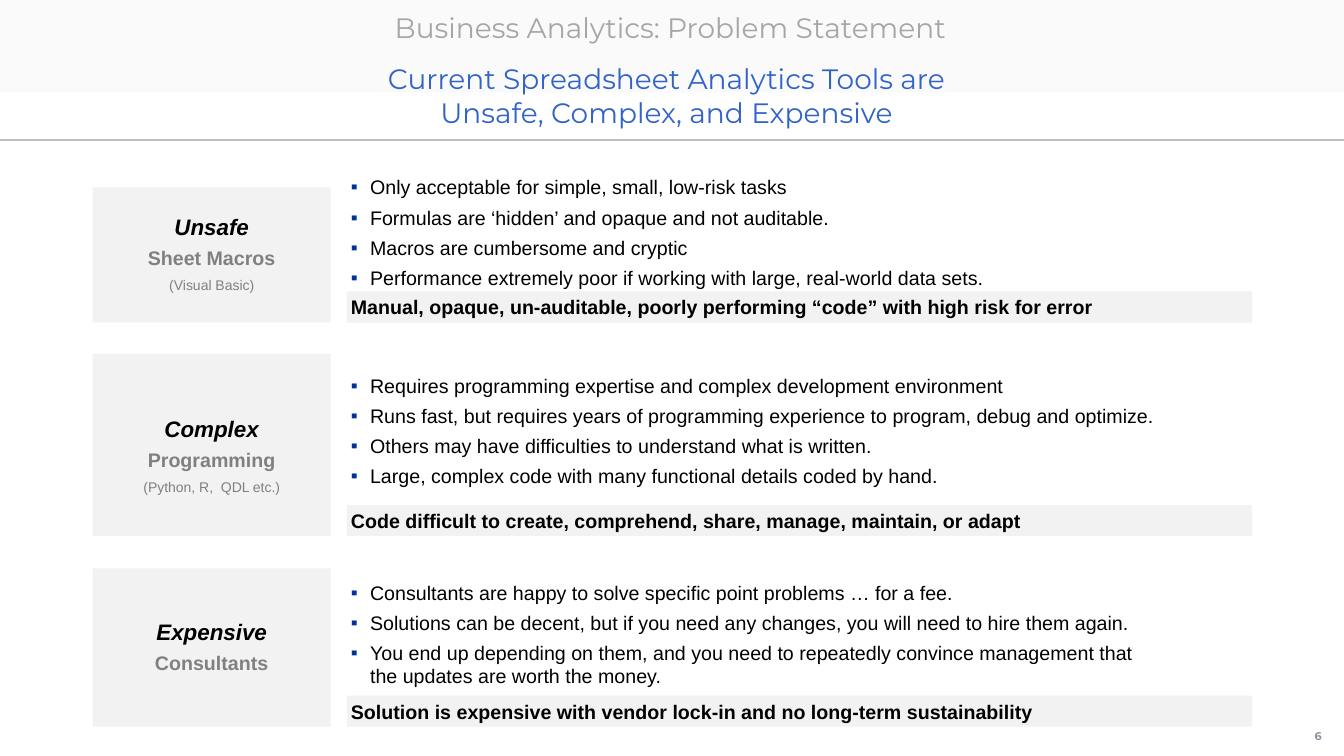
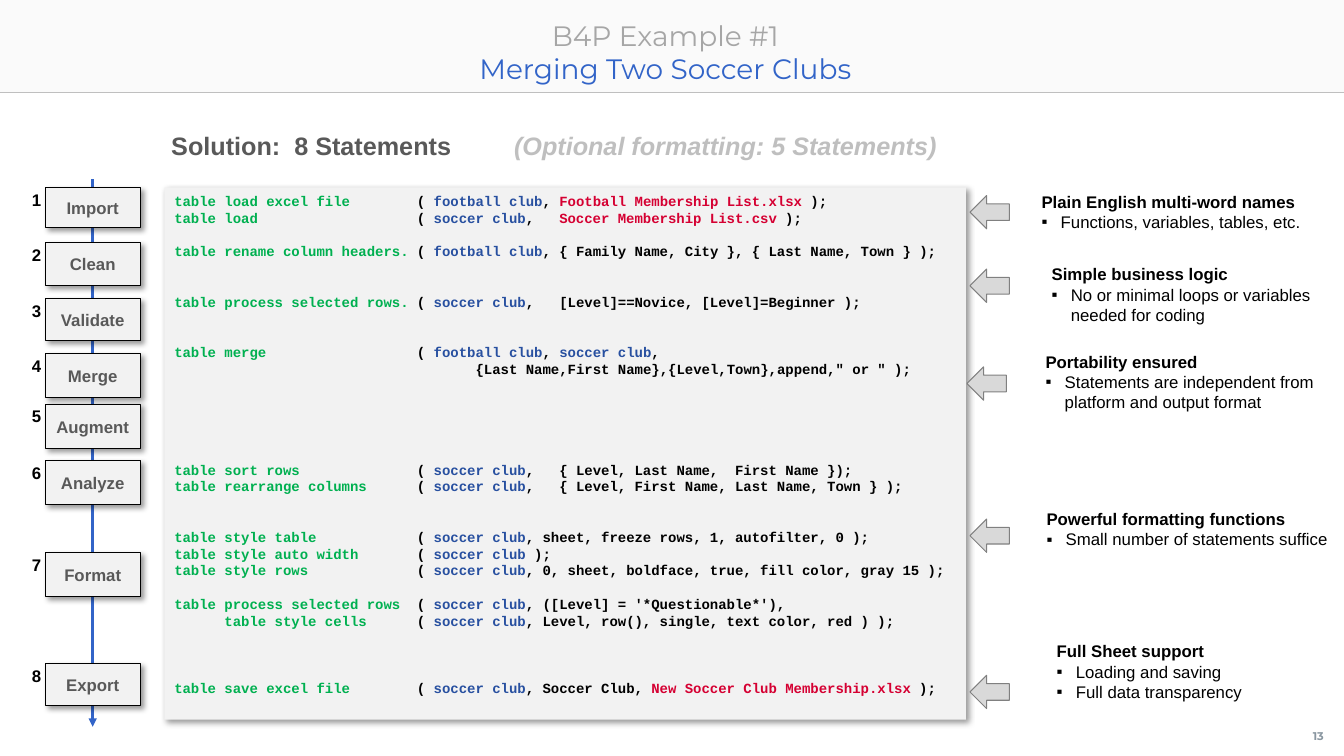
import dataclasses

import pptx
import pptx.dml.color
import pptx.enum.shapes
import pptx.enum.text
import pptx.oxml
import pptx.oxml.ns
import pptx.util
from pptx.util import Inches

RGBColor = pptx.dml.color.RGBColor
SHAPE = pptx.enum.shapes.MSO_SHAPE
ALIGN = pptx.enum.text.PP_ALIGN
ANCHOR = pptx.enum.text.MSO_ANCHOR

BLACK = RGBColor(0x00, 0x00, 0x00)
PANEL = RGBColor(0xF2, 0xF2, 0xF2)
RULE = RGBColor(0xBF, 0xBF, 0xBF)
TITLE_GRAY = RGBColor(0xA6, 0xA6, 0xA6)
TITLE_BLUE = RGBColor(0x32, 0x64, 0xC8)
MID_GRAY = RGBColor(0x80, 0x80, 0x80)
DARK_GRAY = RGBColor(0x59, 0x59, 0x59)
ARROW_GRAY = RGBColor(0xD9, 0xD9, 0xD9)
PAGE_GRAY = RGBColor(0x89, 0x96, 0xA0)
BULLET_BLUE = RGBColor(0x00, 0x33, 0x99)
COMMAND_GREEN = RGBColor(0x00, 0xB0, 0x50)
TABLE_BLUE = RGBColor(0x28, 0x50, 0xA0)
FILE_RED = RGBColor(0xD5, 0x00, 0x32)

SLIDE_WIDTH = 13.33
BAND_HEIGHT = 0.92
TIGHT = (0.04, 0.04, 0.04, 0.04)
TITLE_INSETS = (0, 0.05, 0.1, 0.05)
CODE_PITCH = 12
CODE_COLUMN = 29

# Tile lines, tile top, tile height, tile top inset, bullets top, bullets, verdict
PROBLEMS = [
    (("Unsafe", "Sheet Macros", "(Visual Basic)"), 1.86, 1.34, 0.04, 1.7,
     ["Only acceptable for simple, small, low-risk tasks",
      "Formulas are ‘hidden’ and opaque and not auditable.",
      "Macros are cumbersome and cryptic",
      "Performance extremely poor if working with large, real-world data sets."],
     "Manual, opaque, un-auditable, poorly performing “code” with high risk for error"),
    (("Complex", "Programming", "(Python, R,  QDL etc.)"), 3.51, 1.81, 0.28, 3.67,
     ["Requires programming expertise and complex development environment",
      "Runs fast, but requires years of programming experience to program, debug and optimize.",
      "Others may have difficulties to understand what is written.",
      "Large, complex code with many functional details coded by hand."],
     "Code difficult to create, comprehend, share, manage, maintain, or adapt"),
    (("Expensive", "Consultants"), 5.64, 1.57, 0.04, 5.72,
     ["Consultants are happy to solve specific point problems … for a fee.",
      "Solutions can be decent, but if you need any changes, you will need to hire them again.",
      "You end up depending on them, and you need to repeatedly convince management that "
      "the updates are worth the money."],
     "Solution is expensive with vendor lock-in and no long-term sustainability"),
]

# Step, top, height
STEPS = [("Import", 1.86, 0.4), ("Clean", 2.41, 0.42), ("Validate", 2.96, 0.42),
         ("Merge", 3.51, 0.43), ("Augment", 4.01, 0.44), ("Analyze", 4.57, 0.44),
         ("Format", 5.48, 0.44), ("Export", 6.58, 0.42)]

CODE_COLORS = {
    "football club": TABLE_BLUE,
    "soccer club": TABLE_BLUE,
    "Football Membership List.xlsx": FILE_RED,
    "Soccer Membership List.csv": FILE_RED,
    "New Soccer Club Membership.xlsx": FILE_RED,
}

# Empty lines above, command, arguments
STATEMENTS = [
    (0, "table load excel file", "( football club, Football Membership List.xlsx );"),
    (0, "table load", "( soccer club,   Soccer Membership List.csv );"),
    (1, "table rename column headers.",
     "( football club, { Family Name, City }, { Last Name, Town } );"),
    (2, "table process selected rows.", "( soccer club,   [Level]==Novice, [Level]=Beginner );"),
    (2, "table merge", "( football club, soccer club,"),
    (0, "", '       {Last Name,First Name},{Level,Town},append," or " );'),
    (5, "table sort rows", "( soccer club,   { Level, Last Name,  First Name });"),
    (0, "table rearrange columns", "( soccer club,   { Level, First Name, Last Name, Town } );"),
    (2, "table style table", "( soccer club, sheet, freeze rows, 1, autofilter, 0 );"),
    (0, "table style auto width", "( soccer club );"),
    (0, "table style rows", "( soccer club, 0, sheet, boldface, true, fill color, gray 15 );"),
    (1, "table process selected rows", "( soccer club, ([Level] = '*Questionable*'),"),
    (0, "      table style cells",
     "( soccer club, Level, row(), single, text color, red ) );"),
    (3, "table save excel file", "( soccer club, Soccer Club, New Soccer Club Membership.xlsx );"),
]

# Left, top, width, height, arrow left, arrow top, heading, bullets
BENEFITS = [
    (10.29, 1.86, 2.83, 0.53, 9.62, 1.94, "Plain English multi-word names",
     ["Functions, variables, tables, etc."]),
    (10.39, 2.58, 2.72, 0.71, 9.62, 2.67, "Simple business logic",
     ["No or minimal loops or variables needed for coding"]),
    (10.33, 3.45, 2.76, 0.71, 9.59, 3.64, "Portability ensured",
     ["Statements are independent from platform and output format"]),
    (10.34, 5.01, 2.97, 0.71, 9.62, 5.15, "Powerful formatting functions",
     ["Small number of statements suffice"]),
    (10.44, 6.32, 3.15, 0.71, 9.62, 6.7, "Full Sheet support",
     ["Loading and saving", "Full data transparency"]),
]


@dataclasses.dataclass
class Line:
    """One paragraph; pieces are (text, colour) runs that replace plain text."""
    text: str = ""
    size: float = 14
    color: RGBColor = BLACK
    bold: bool = False
    italic: bool = False
    font: str = "Arial"
    align: ALIGN = ALIGN.LEFT
    gap: float = 0
    spacing: object = None
    bullet: RGBColor = None
    tab: float = None
    pieces: list = dataclasses.field(default_factory=list)


def add_xml(parent, xml):
    tag, rest = xml.split(" ", 1)
    parent.append(pptx.oxml.parse_xml(f"{tag} {pptx.oxml.ns.nsdecls('a')} {rest}"))


def write(shape, lines, insets=TIGHT, anchor=ANCHOR.TOP):
    """Fill a shape with lines; a gap is the space above a line."""
    frame = shape.text_frame
    frame.word_wrap = True
    frame.auto_size = pptx.enum.text.MSO_AUTO_SIZE.NONE
    frame.vertical_anchor = anchor
    (frame.margin_left, frame.margin_top,
     frame.margin_right, frame.margin_bottom) = map(Inches, insets)
    for index, line in enumerate(lines):
        paragraph = frame.add_paragraph() if index else frame.paragraphs[0]
        properties = paragraph._p.get_or_add_pPr()
        if line.bullet is not None:
            properties.set("marL", str(Inches(0.19)))
            properties.set("indent", str(Inches(-0.19)))
            add_xml(properties, f'<a:buClr ><a:srgbClr val="{line.bullet}"/></a:buClr>')
            add_xml(properties, '<a:buFont typeface="Arial"/>')
            add_xml(properties, '<a:buChar char="▪"/>')
        if line.tab:
            add_xml(properties,
                    f'<a:tabLst ><a:tab pos="{Inches(line.tab)}" algn="l"/></a:tabLst>')
        paragraph.alignment = line.align
        paragraph.space_before = pptx.util.Pt(line.gap if index else 0)
        paragraph.line_spacing = line.spacing
        font = paragraph.font
        font.name, font.size = line.font, pptx.util.Pt(line.size)
        font.bold, font.italic = line.bold, line.italic
        font.color.rgb = line.color
        if not line.pieces:
            paragraph.text = line.text
        for text, color in line.pieces:
            run = paragraph.add_run()
            run.text = text
            run.font.color.rgb = color


def add_text(slide, box, lines, insets=TIGHT, anchor=ANCHOR.TOP):
    write(slide.shapes.add_textbox(*map(Inches, box)), lines, insets, anchor)


def add_block(slide, box, fill=PANEL, outline=None, kind=SHAPE.RECTANGLE, raised=False):
    block = slide.shapes.add_shape(kind, *map(Inches, box))
    block.shadow.inherit = False
    block.fill.solid()
    block.fill.fore_color.rgb = fill
    if outline is None:
        block.line.fill.background()
    else:
        block.line.color.rgb = outline
        block.line.width = pptx.util.Pt(0.75)
    if raised:
        effects = block._element.spPr.find(pptx.oxml.ns.qn("a:effectLst"))
        add_xml(effects, '<a:outerShdw blurRad="50800" dist="38100" dir="2700000">'
                '<a:srgbClr val="000000"><a:alpha val="40000"/></a:srgbClr></a:outerShdw>')
    return block


def add_line(slide, start, end, color, width, arrow=False):
    line = slide.shapes.add_connector(pptx.enum.shapes.MSO_CONNECTOR.STRAIGHT,
                                      *map(Inches, start + end))
    line.line.color.rgb = color
    line.line.width = pptx.util.Pt(width)
    if arrow:
        add_xml(line.line._get_or_add_ln(), '<a:tailEnd type="triangle"/>')
    add_xml(line._element.spPr, "<a:effectLst />")


def title_line(text, color):
    return Line(text, 20, color, font="Montserrat", align=ALIGN.CENTER)


def add_page(deck, number, title_box, title_lines, rule_top):
    """Start a slide with the shared band, title, rule and page number."""
    slide = deck.slides.add_slide(deck.slide_layouts[5])
    band = add_block(slide, (0, 0, SLIDE_WIDTH, BAND_HEIGHT))
    color = band._element.spPr.find(".//" + pptx.oxml.ns.qn("a:srgbClr"))
    add_xml(color, '<a:alpha val="34000"/>')
    slide.shapes._spTree.insert(2, band._element)
    title = slide.shapes.title
    title.left, title.top, title.width, title.height = map(Inches, title_box)
    write(title, title_lines, TITLE_INSETS)
    add_line(slide, (0, rule_top), (SLIDE_WIDTH, rule_top), RULE, 1)
    add_text(slide, (12.89, 7.11, 0.45, 0.39),
             [Line(str(number), 8, PAGE_GRAY, bold=True, font="Montserrat", align=ALIGN.CENTER)],
             (0, 0.05, 0.08, 0.05), ANCHOR.MIDDLE)
    return slide


def add_problem(slide, labels, top, height, top_inset, bullets_top, bullets, verdict):
    styles = [dict(size=16, bold=True, italic=True),
              dict(size=14, bold=True, color=MID_GRAY),
              dict(size=10, color=MID_GRAY)]
    tile = add_block(slide, (0.92, top, 2.36, height))
    write(tile, [Line(label, align=ALIGN.CENTER, gap=6, spacing=0.9, **style)
                 for label, style in zip(labels, styles)],
          (0.04, top_inset, 0.04, 0.04), ANCHOR.MIDDLE)
    add_text(slide, (3.44, bullets_top, 8.08, 1.1),
             [Line(bullet, gap=4.7, bullet=BULLET_BLUE) for bullet in bullets])
    bar_height = 0.31
    bar = add_block(slide, (3.44, top + height - bar_height, 8.98, bar_height))
    write(bar, [Line(verdict, bold=True)])


def color_code(text):
    """Split code into (text, colour) pieces at the table and file names."""
    for name, color in CODE_COLORS.items():
        before, found, after = text.partition(name)
        if found:
            return color_code(before) + [(name, color)] + color_code(after)
    return [(text, BLACK)] if text else []


def add_code(slide):
    panel = add_block(slide, (1.63, 1.86, 7.95, 5.28), raised=True)
    write(panel, [Line(size=10, bold=True, font="Courier New", gap=empty * CODE_PITCH,
                       spacing=pptx.util.Pt(CODE_PITCH),
                       pieces=[(command.ljust(CODE_COLUMN), COMMAND_GREEN)]
                       + color_code(arguments))
                  for empty, command, arguments in STATEMENTS],
          (0.1, 0.05, 0.1, 0.05))


def add_step(slide, number, name, top, height):
    box = add_block(slide, (0.45, top, 0.94, height), outline=BLACK, raised=True)
    write(box, [Line(name, 12, DARK_GRAY, bold=True, align=ALIGN.CENTER)], anchor=ANCHOR.MIDDLE)
    add_text(slide, (0.21, top, 0.24, 0.24),
             [Line(str(number), 12, bold=True, align=ALIGN.RIGHT)], anchor=ANCHOR.MIDDLE)


def add_benefit(slide, left, top, width, height, arrow_left, arrow_top, heading, bullets):
    add_text(slide, (left, top, width, height),
             [Line(heading, 12, bold=True)]
             + [Line(bullet, 12, bullet=BLACK) for bullet in bullets])
    add_block(slide, (arrow_left, arrow_top, 0.39, 0.33), ARROW_GRAY, MID_GRAY, SHAPE.LEFT_ARROW)


def build_problem_slide(deck):
    slide = add_page(deck, 6, (2.41, 0.05, 8.58, 0.43),
                     [title_line("Business Analytics: Problem Statement", TITLE_GRAY)], 1.39)
    add_text(slide, (0.52, 0.56, 12.28, 0.75),
             [title_line("Current Spreadsheet Analytics Tools are", TITLE_BLUE),
              title_line("Unsafe, Complex, and Expensive", TITLE_BLUE)], TITLE_INSETS)
    for problem in PROBLEMS:
        add_problem(slide, *problem)


def build_example_slide(deck):
    slide = add_page(deck, 13, (0.51, 0.13, 12.28, 0.79),
                     [title_line("B4P Example #1", TITLE_GRAY),
                      title_line("Merging Two Soccer Clubs", TITLE_BLUE)], BAND_HEIGHT)
    solution = Line(size=18, bold=True, tab=3.4,
                    pieces=[("Solution:  8 Statements\t", DARK_GRAY),
                            ("(Optional formatting: 5 Statements)", RULE)])
    add_text(slide, (1.6, 1.24, 7.98, 0.4), [solution], (0.1, 0.05, 0.1, 0.05))
    slide.shapes[-1].text_frame.paragraphs[0].runs[1].font.italic = True
    add_line(slide, (0.92, 1.78), (0.92, 7.21), TITLE_BLUE, 1.75, arrow=True)
    add_code(slide)
    for number, step in enumerate(STEPS, 1):
        add_step(slide, number, *step)
    for benefit in BENEFITS:
        add_benefit(slide, *benefit)


def main():
    deck = pptx.Presentation()
    deck.slide_width, deck.slide_height = Inches(SLIDE_WIDTH), Inches(7.5)
    build_problem_slide(deck)
    build_example_slide(deck)
    deck.save("out.pptx")


if __name__ == "__main__":
    main()
